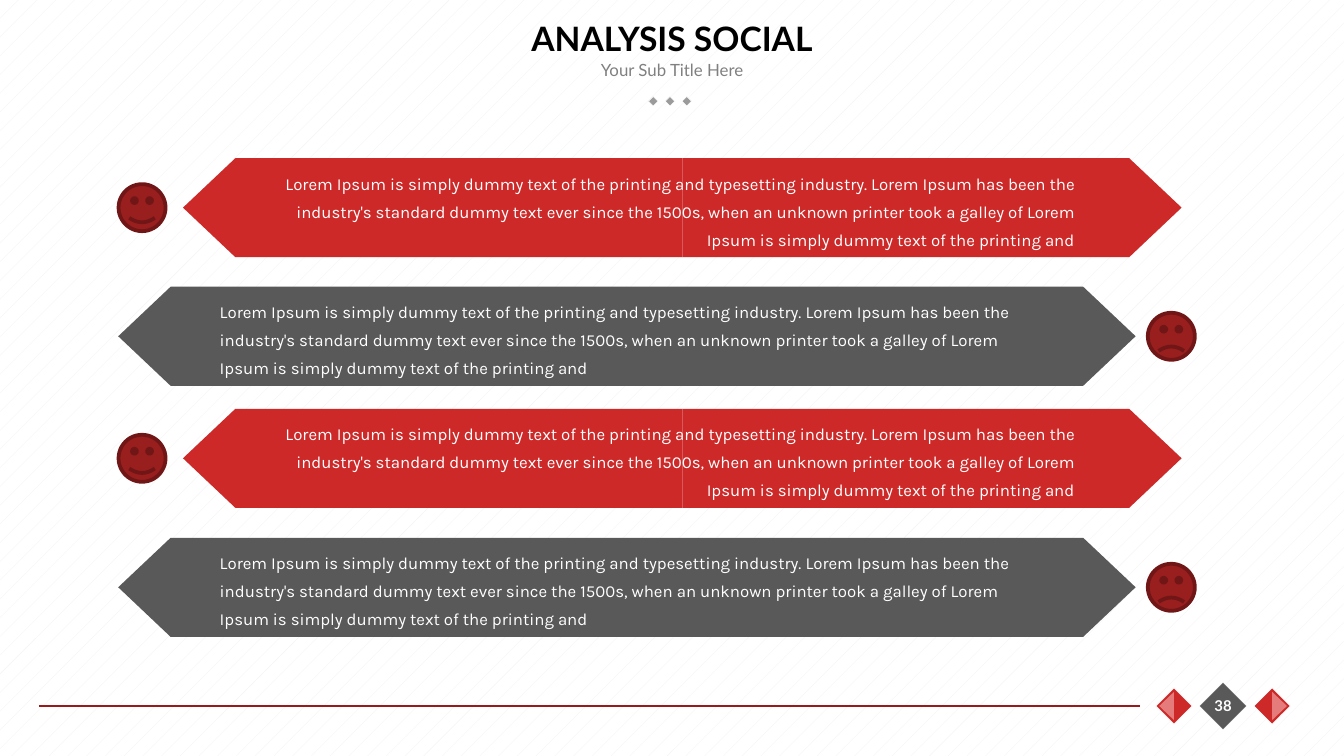
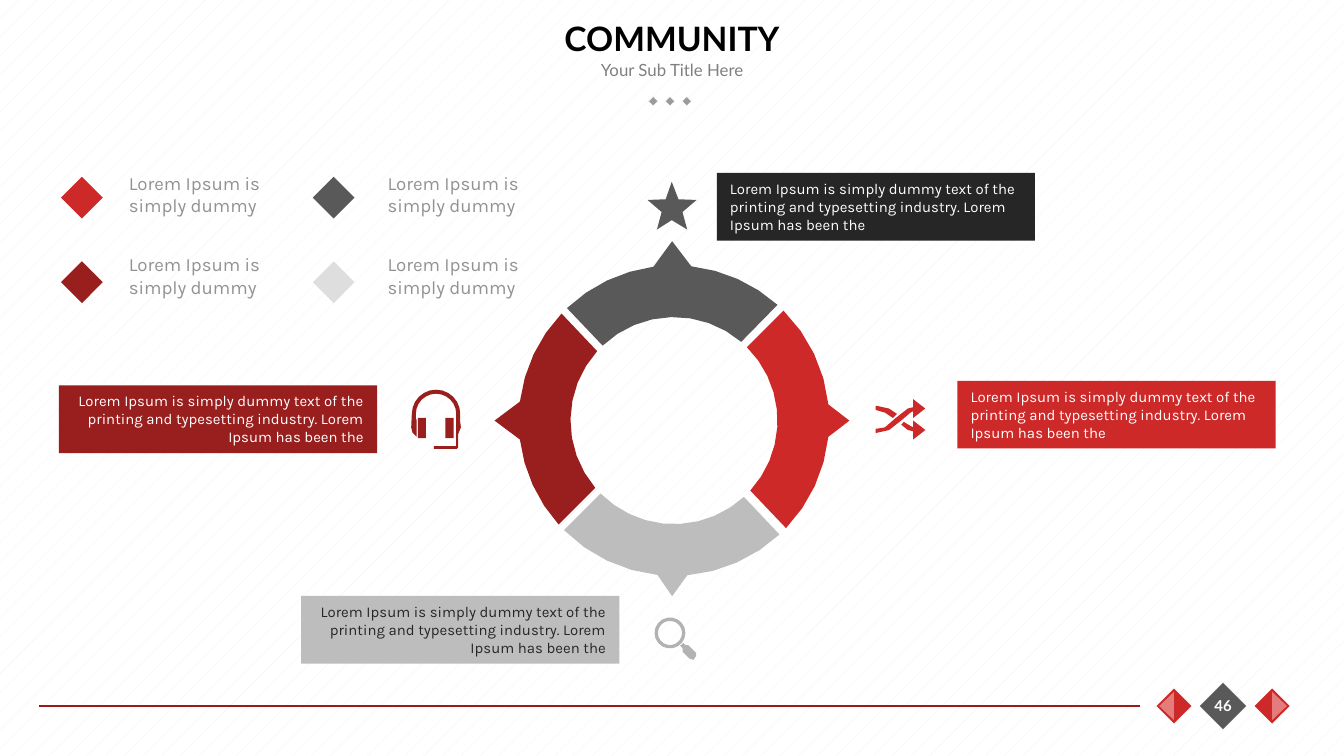
from dataclasses import dataclass
from math import cos, radians, sin

from lxml import etree
from pptx import Presentation
from pptx.dml.color import RGBColor
from pptx.enum.dml import MSO_PATTERN
from pptx.enum.shapes import MSO_CONNECTOR, MSO_SHAPE
from pptx.enum.text import MSO_ANCHOR, MSO_AUTO_SIZE, PP_ALIGN
from pptx.oxml.ns import qn
from pptx.util import Inches, Pt

RECT, FACE = MSO_SHAPE.RECTANGLE, MSO_SHAPE.SMILEY_FACE
WEDGE = MSO_SHAPE.FLOWCHART_EXTRACT
LEFT, MID, RIGHT = PP_ALIGN.LEFT, PP_ALIGN.CENTER, PP_ALIGN.RIGHT
TOP, CENTRE = MSO_ANCHOR.TOP, MSO_ANCHOR.MIDDLE

# Square grid: 100 columns across, 56.25 rows down
WIDE, HIGH = Inches(10), Inches(5.625)
CELL = WIDE / 100


@dataclass(frozen=True)
class Theme:
    red: str = "CD2929"
    deep: str = "991E1E"
    edge: str = "711616"
    rule: str = "991A1A"
    pink: str = "E57B7B"
    dark: str = "595959"
    ink: str = "262626"
    black: str = "000000"
    white: str = "FFFFFF"
    grey: str = "BDBDBD"
    pale: str = "DEDEDE"
    lens: str = "B2B2B2"
    dot: str = "9B9B9B"
    sub: str = "808080"
    label: str = "929292"
    weave: str = "F2F2F2"
    head: str = "Lato"
    body: str = "Karla"
    title: int = 18
    legend: int = 10
    text: int = 9
    small: int = 8


T = Theme()
HEAD = (7.5, 0, 85, 5.6)
FOOT = (2.9, 51.28, 93, 2.5)
HUB = 88.1
SHORT = "Lorem Ipsum is simply dummy"
NOTE = SHORT + " text of the printing and typesetting industry. Lorem Ipsum has been the"
LONG = (NOTE + " industry's standard dummy text ever since the 1500s, when an unknown "
        "printer took a galley of " + SHORT + " text of the printing and")


# Basic tools
def rgb(tone):
    return RGBColor.from_string(tone)


def span(*cells):
    return [round(c * CELL) for c in cells]


def paint(shape, fill, line=None, width=0.25):
    shape.shadow.inherit = False
    shape.fill.solid()
    shape.fill.fore_color.rgb = rgb(fill)
    if line:
        shape.line.color.rgb = rgb(line)
        shape.line.width = Pt(width)
    else:
        shape.line.fill.background()
    return shape


def form(slide, kind, box, fill, line=None, width=0.25, turn=0):
    shape = paint(slide.shapes.add_shape(kind, *span(*box)), fill, line, width)
    shape.rotation = turn
    return shape


def gem(slide, mid, size, fill, line=None):
    x, y = mid
    return form(slide, RECT, (x - size / 2, y - size / 2, size, size), fill, line, turn=315)


def trace(slide, spot, rings, fill):
    """Fill closed outlines given in cells from spot."""
    x, y = spot
    pen = None
    for ring in rings:
        first, *rest = [span(x + a, y + b) for a, b in ring]
        if pen is None:
            pen = slide.shapes.build_freeform(*first)
        else:
            pen.move_to(*first)
        pen.add_line_segments(rest, close=True)
    return paint(pen.convert_to_shape(), fill)


def arc(x, y, r, start, end, step=10):
    count = max(1, round(abs(end - start) / step))
    turns = [radians(start + (end - start) * i / count) for i in range(count + 1)]
    return [(x + r * cos(a), y + r * sin(a)) for a in turns]


def write(shape, text, size, tone, font=T.body, align=LEFT, anchor=TOP, bold=False, lead=None):
    frame = shape.text_frame
    frame.text = text
    frame.word_wrap = True
    frame.auto_size = MSO_AUTO_SIZE.NONE
    frame.vertical_anchor = anchor
    par = frame.paragraphs[0]
    par.alignment = align
    par.space_before = Pt(0)
    if lead:
        par.line_spacing = Pt(lead)
    face = par.runs[0].font
    face.name, face.size, face.bold = font, Pt(size), bold
    face.color.rgb = rgb(tone)


def label(slide, box, text, size, tone, **style):
    write(slide.shapes.add_textbox(*span(*box)), text, size, tone, **style)


# Shared frame, kept on the layout
def header(slide, box):
    x, y, w, h = box
    mid = x + w / 2
    for i in (-1, 0, 1):
        gem(slide, (mid - 0.15 + 1.25 * i, y + 7.53), 0.5, T.dot, T.white)
    label(slide, (mid - 12.5, y + 3.95, 25, 2.5), "Your Sub Title Here", T.text, T.sub,
          font=T.head, align=MID, anchor=CENTRE)


def footer(slide, box):
    x, y, w, h = box
    mid = y + h / 2
    rule = slide.shapes.add_connector(MSO_CONNECTOR.STRAIGHT, *span(x, mid, x + 81.9, mid))
    rule.line.color.rgb = rgb(T.rule)
    rule.line.width = Pt(0.75)
    etree.SubElement(rule._element.spPr, qn("a:effectLst"))
    hub = x + HUB
    gem(slide, (hub, mid), 2.5, T.dark, T.white)
    for side in (-1, 1):
        at = hub + 3.65 * side
        gem(slide, (at, mid), 1.9, T.red, T.white)
        form(slide, WEDGE, (at + 0.55 * side - 1.05, mid - 0.55, 2.1, 1.1), T.pink,
             turn=90 * side)


def share(deck):
    """Prepare the layout, drawing its parts on the first slide and moving them."""
    fill = deck.slide_master.background.fill
    fill.patterned()
    fill.pattern = MSO_PATTERN.PERCENT_5
    fill.fore_color.rgb = rgb(T.weave)
    fill.back_color.rgb = rgb(T.white)
    base = deck.slide_layouts[0]
    tree = base.shapes._spTree
    for hold in list(base.placeholders)[1:]:
        tree.remove(hold._element)
    slide = deck.slides.add_slide(base)
    header(slide, HEAD)
    footer(slide, FOOT)
    for shape in list(slide.shapes)[1:]:
        tree.append(shape._element)
    return slide


def start(slide, title, page):
    hold = slide.shapes.title
    hold.left, hold.top, hold.width, hold.height = span(*HEAD)
    write(hold, title, T.title, T.black, T.head, MID, CENTRE, True)
    x, y, w, h = FOOT
    label(slide, (x + HUB - 2.1, y, 4.2, h), page, T.small, T.white,
          font=T.head, align=MID, anchor=CENTRE, bold=True)


# Opinion banners
def banner(slide, box, fill, inset, align):
    x, y, w, h = box
    half, neck = w / 2, 3.9
    for tip, way in ((0, 1), (w, -1)):
        side = tip + way * neck
        trace(slide, (x, y), [[(side, 0), (tip, h / 2), (side, h), (half, h), (half, 0)]], fill)
    label(slide, (x + inset, y + 0.06, 62.6, 7.3), LONG, T.text, T.white, align=align, lead=15)


def mood(slide, spot, glad):
    face = form(slide, FACE, (*spot, 3.5, 3.5), T.deep, T.edge, 2)
    if not glad:
        face.adjustments[0] = -0.047


def social(slide):
    start(slide, "ANALYSIS SOCIAL", "38")
    for i, y in enumerate((11.77, 21.34, 30.42, 40.02)):
        glad = i % 2 == 0
        if glad:
            banner(slide, (13.62, y, 74.3, 7.37), T.red, 4.7, RIGHT)
        else:
            banner(slide, (8.8, y, 75.7, 7.37), T.dark, 6.57, LEFT)
        mood(slide, (8.82 if glad else 85.4, y + 1.93), glad)


# Community ring
def ring(slide, box):
    x, y, w, h = box
    outer, inner = w / 2, w / 3
    # Fill, outer angles, inner angles, pointer angle, half width and reach
    parts = ((T.deep, 138, 223.6, 139.5, 222.1, 180, 7, 13.35),
             (T.grey, 47.2, 135.1, 47.5, 135.2, 90.6, 5.5, 13.07),
             (T.dark, 226.4, 311.8, 226.4, 310.5, 269.4, 7, 13.35),
             (T.red, -45.1, 43.8, -45.2, 42.5, 0, 6, 13.05))
    for fill, a, b, c, d, aim, gap, tip in parts:
        peak = (tip * cos(radians(aim)), tip * sin(radians(aim)))
        edge = (arc(0, 0, outer, a, aim - gap) + [peak]
                + arc(0, 0, outer, aim + gap, b) + arc(0, 0, inner, d, c))
        trace(slide, (x + w / 2, y + h / 2), [edge], fill)


def phones(slide, spot):
    band = (arc(1.85, 1.8, 1.8, 180, 360, 15)
            + [(3.65, 2.4), (3.7, 2.8), (3.5, 3.3), (3.5, 4.3), (3.4, 4.4), (1.7, 4.4),
               (1.7, 4.2), (3.35, 4.2), (3.35, 1.8)]
            + arc(1.85, 1.8, 1.5, 360, 180, 15)
            + [(0.35, 2.2), (0.4, 2.2), (0.4, 3.5), (0.1, 3.2), (0, 2.8)])
    pads = [[(a, 2.1), (a + 0.6, 2.1), (a + 0.6, 3.6), (a, 3.6)] for a in (0.5, 2.55)]
    trace(slide, spot, [band, *pads], T.deep)


def shuffle(slide, spot):
    tail = [(0, 0.8), (0.7, 1), (1.3, 1.4), (1.6, 1.1), (1, 0.7), (0.1, 0.5), (0, 0.5)]
    rise = [(2.6, 1), (2.8, 0.9), (2.8, 1.4), (3.7, 0.7), (2.8, 0), (2.8, 0.6), (2.4, 0.7),
            (1.5, 1.4), (0.7, 2.1), (0.1, 2.2), (0, 2.2), (0, 2.5), (0.1, 2.5), (1, 2.3),
            (1.9, 1.6)]
    fall = [(2.8, 2.1), (2.6, 2), (2.1, 1.7), (1.9, 1.9), (2.4, 2.3), (2.8, 2.4), (2.8, 3),
            (3.7, 2.3), (2.8, 1.6)]
    for part in (tail, rise, fall):
        trace(slide, spot, [part], T.red)


def star(slide, spot):
    trace(slide, spot, [[(1.8, 0), (2.3, 1.3), (3.65, 1.35), (2.6, 2.25), (2.95, 3.55),
                         (1.8, 2.85), (0.7, 3.55), (1.05, 2.25), (0, 1.35), (1.35, 1.3)]], T.dark)


def search(slide, spot):
    grip = [(2, 2.15), (2.25, 1.95), (2.4, 2.1), (2.6, 2.1), (3.2, 2.7), (3.2, 2.9),
            (3, 3.2), (2.7, 3.1), (2.2, 2.6), (2.2, 2.35)]
    lens = [arc(1.25, 1.2, r, 0, 360, 20) for r in (1.15, 0.9)]
    trace(slide, spot, [*lens, grip], T.lens)


def legend(slide, box):
    x, y, w, h = box
    tones = ((T.red, T.dark), (T.deep, T.pale))
    for r, row in enumerate(tones):
        for c, tone in enumerate(row):
            gem(slide, (x + 1.1 + 18.73 * c, y + 2.4 + 6.3 * r), 2.2, tone)
            label(slide, (x + 3.6 + 19.25 * c, y + 6.03 * r, 12.8, 4.4), SHORT,
                  T.legend, T.label)


def notes(slide):
    cards = ((53.33, 12.87, T.ink, T.white, LEFT), (71.23, 28.34, T.red, T.white, LEFT),
             (22.4, 44.35, T.grey, T.ink, RIGHT), (4.38, 28.68, T.deep, T.white, RIGHT))
    for x, y, fill, tone, align in cards:
        card = form(slide, RECT, (x, y, 23.68, 5.04), fill)
        write(card, NOTE, T.small, tone, align=align)


def community(slide):
    start(slide, "COMMUNITY", "46")
    ring(slide, (38.6, 19.75, 23.1, 23.1))
    phones(slide, (30.6, 29))
    shuffle(slide, (65.15, 29.7))
    star(slide, (48.18, 13.53))
    search(slide, (48.6, 45.9))
    notes(slide)
    legend(slide, (5, 12.3, 35.7, 10.4))


def main():
    deck = Presentation()
    deck.slide_width, deck.slide_height = WIDE, HIGH
    social(share(deck))
    community(deck.slides.add_slide(deck.slide_layouts[0]))
    deck.save("out.pptx")


if __name__ == "__main__":
    main()
